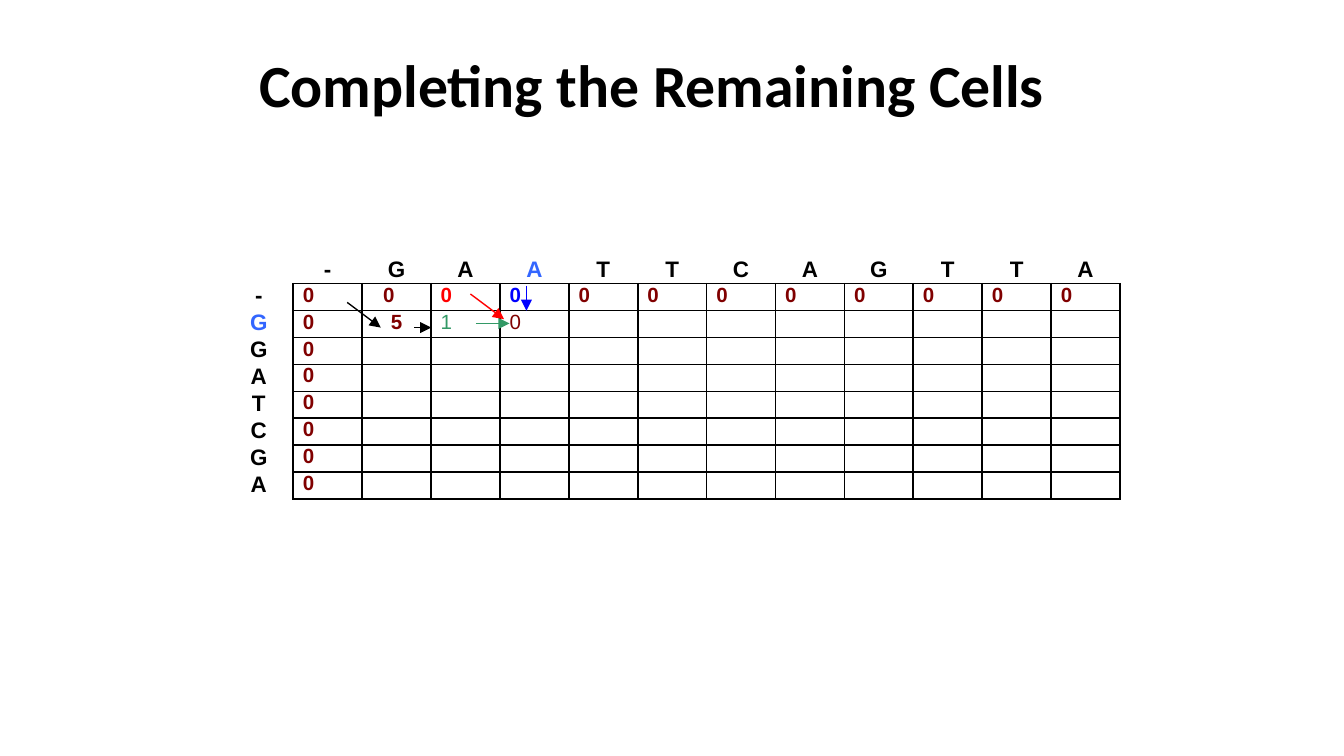
"""Build a slide showing a sequence alignment matrix with its first cells scored."""
from lxml.etree import SubElement
from pptx import Presentation
from pptx.dml.color import RGBColor
from pptx.enum.shapes import MSO_CONNECTOR as Connector
from pptx.enum.text import PP_ALIGN as Align
from pptx.oxml.ns import qn
from pptx.util import Pt

COLORS = {
    "black": "000000", "maroon": "800000", "red": "FF0000",
    "blue": "0000FF", "sky": "3366FF", "green": "339966",
}
TITLE = {"name": "Calibri", "size": Pt(32), "bold": True}
LABEL = {"name": "Arial", "size": Pt(12), "bold": True}
SCORE = {"name": "Arial", "size": Pt(11), "bold": True}
PLAIN = {**SCORE, "bold": False}


def write(para, text, look, color, align=Align.LEFT):
    para.alignment = align
    span = para.add_run()
    span.text = text
    for name, value in look.items():
        setattr(span.font, name, value)
    span.font.color.rgb = RGBColor.from_string(COLORS[color])


def draw_borders(cell, shown):
    props = cell._tc.get_or_add_tcPr()
    for side in "LRTB":
        line = SubElement(props, qn(f"a:ln{side}"), w=str(Pt(1)))
        if side in shown:
            fill = SubElement(line, qn("a:solidFill"))
            SubElement(fill, qn("a:srgbClr"), val=COLORS["black"])
        else:
            SubElement(line, qn("a:noFill"))


deck = Presentation()
deck.slide_width, deck.slide_height = Pt(720), Pt(405)
page = deck.slides.add_slide(deck.slide_layouts[6])

box = page.shapes.add_textbox(Pt(131.8), Pt(22.3), Pt(594), Pt(46))
box.text_frame.word_wrap = True
write(box.text_frame.paragraphs[0], "Completing the Remaining Cells", TITLE, "black")

across, down = "-GAATTCAGTTA", "-GGATCGA"
row_count, column_count = len(down) + 1, len(across) + 1
table = page.shapes.add_table(
    row_count, column_count, Pt(120.2), Pt(137.5), Pt(480), Pt(129.6)
).table
table.first_row = table.horz_banding = False
for column in table.columns:
    column.width = Pt(36.92)
for row in table.rows:
    row.height = Pt(14.4)

entries = {}
for column, letter in enumerate(across, 1):
    entries[0, column] = (letter, LABEL, "black", Align.CENTER)
    entries[1, column] = ("0", SCORE, "maroon")
for row, letter in enumerate(down, 1):
    entries[row, 0] = (letter, LABEL, "black", Align.CENTER)
    entries[row, 1] = ("0", SCORE, "maroon")
entries.update({
    (0, 4): ("A", LABEL, "sky", Align.CENTER),
    (2, 0): ("G", LABEL, "sky", Align.CENTER),
    (1, 3): ("0", SCORE, "red"),
    (1, 4): ("0", SCORE, "blue"),
    (2, 2): ("5", SCORE, "maroon", Align.CENTER),
    (2, 3): ("1", PLAIN, "green"),
    (2, 4): ("0", PLAIN, "maroon"),
})

for row in range(row_count):
    for column in range(column_count):
        cell = table.cell(row, column)
        cell.margin_left = cell.margin_right = Pt(5.2)
        cell.margin_top = cell.margin_bottom = 0
        if row and column:
            draw_borders(cell, "LRTB")
        else:
            draw_borders(cell, "B" if column else "R" if row else "")
        cell.fill.background()
        para = cell.text_frame.paragraphs[0]
        if (row, column) in entries:
            write(para, *entries[row, column])
        else:
            SubElement(para._p, qn("a:endParaRPr"), sz="1100")
table.cell(1, 2).margin_left = Pt(11.3)

group = page.shapes.add_group_shape()
arrows = [
    (page, "black", 186, 162, 204, 175.5),
    (page, "black", 222, 175.5, 231, 175.5),
    (group, "blue", 282, 153, 282, 166.5),
    (group, "green", 255, 173.3, 273, 173.3),
    (group, "red", 252, 157.5, 270, 171),
]
for parent, color, *ends in arrows:
    arrow = parent.shapes.add_connector(Connector.STRAIGHT, *map(Pt, ends))
    arrow.line.width = Pt(0.75)
    arrow.line.color.rgb = RGBColor.from_string(COLORS[color])
    SubElement(arrow.line._get_or_add_ln(), qn("a:tailEnd"), type="triangle")
    SubElement(arrow._element.spPr, qn("a:effectLst"))

deck.save("out.pptx")
